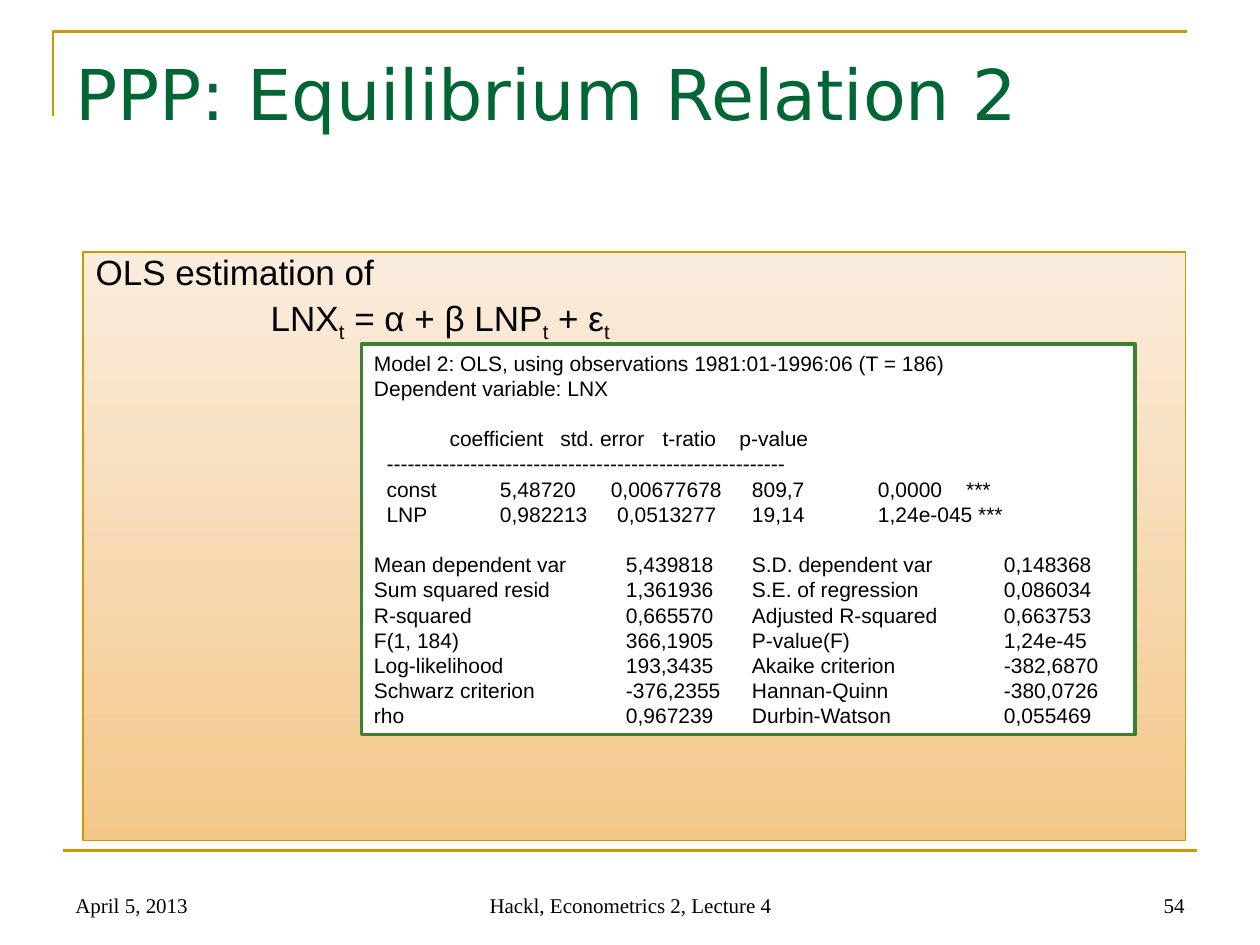
import dataclasses

import pptx
import pptx.dml.color
import pptx.enum.shapes
import pptx.enum.text
import pptx.oxml.ns
import pptx.util
from lxml import etree

Inches = pptx.util.Inches
Pt = pptx.util.Pt
Align = pptx.enum.text.PP_ALIGN
Anchor = pptx.enum.text.MSO_ANCHOR
Shapes = pptx.enum.shapes.MSO_SHAPE
qn = pptx.oxml.ns.qn


def rgb(code):
    return pptx.dml.color.RGBColor.from_string(code)


@dataclasses.dataclass(frozen=True)
class Theme:
    gold: str = "CC9900"
    green: str = "006633"
    frame: str = "3B812F"
    light: str = "FAEDDD"
    dark: str = "F3C78A"
    white: str = "FFFFFF"
    ink: str = "000000"
    head: str = "DejaVu Sans"
    body: str = "Arial"
    foot: str = "Times New Roman"
    big: float = 40
    mid: float = 20
    small: float = 12
    pitch: float = 14.4


class Page:
    def __init__(self, slide, theme):
        self.slide = slide
        self.theme = theme

    def style(self, para, face, size, color):
        for run in para.runs:
            run.font.name = face
            run.font.size = Pt(size)
            run.font.color.rgb = rgb(color)

    def stroke(self, shape, color, width):
        shape.line.color.rgb = rgb(color)
        shape.line.width = Pt(width)

    def corner(self, points):
        """Draw an open outline through the points."""
        (x, y), *rest = [(Inches(x), Inches(y)) for x, y in points]
        pen = self.slide.shapes.build_freeform(x, y)
        pen.add_line_segments(rest, close=False)
        shape = pen.convert_to_shape()
        shape.shadow.inherit = False
        shape.fill.background()
        self.stroke(shape, self.theme.gold, 1.5)

    def rule(self, left, right, top):
        line = self.slide.shapes.add_connector(
            pptx.enum.shapes.MSO_CONNECTOR.STRAIGHT,
            Inches(left), Inches(top), Inches(right), Inches(top))
        self.stroke(line, self.theme.gold, 1.5)
        etree.SubElement(line._element.spPr, qn("a:effectLst"))

    def label(self, area, text, face, size, color,
              align=Align.LEFT, anchor=Anchor.BOTTOM):
        box = self.slide.shapes.add_textbox(*map(Inches, area))
        frame = box.text_frame
        frame.word_wrap = True
        frame.vertical_anchor = anchor
        frame.text = text
        para = frame.paragraphs[0]
        para.alignment = align
        self.style(para, face, size, color)
        return frame

    def panel(self, area, color, width):
        """Add an outlined rectangle with text set from its top."""
        shape = self.slide.shapes.add_shape(
            Shapes.RECTANGLE, *map(Inches, area))
        shape.shadow.inherit = False
        self.stroke(shape, color, width)
        shape.text_frame.word_wrap = True
        shape.text_frame.vertical_anchor = Anchor.TOP
        return shape

    def shade(self, shape, top, bottom):
        shape.fill.gradient()
        shape.fill.gradient_angle = 270
        for stop, color in zip(shape.fill.gradient_stops, (top, bottom)):
            stop.color.rgb = rgb(color)

    def stops(self, para, places):
        """Set left tab stops, in inches."""
        tabs = etree.SubElement(para._p.get_or_add_pPr(), qn("a:tabLst"))
        for place in places:
            etree.SubElement(tabs, qn("a:tab"),
                             pos=str(Inches(place)), algn="l")

    def model(self, frame, intro, parts):
        """Write the intro and an equation of (text, subscript) pairs."""
        theme = self.theme
        frame.text = intro
        first, second = frame.paragraphs[0], frame.add_paragraph()
        for text, sub in parts:
            second.add_run().text = text
            low = second.add_run()
            low.text = sub
            low._r.get_or_add_rPr().set("baseline", "-25000")
        second.space_before = Pt(5)
        second._p.get_or_add_pPr().set("marL", str(Inches(1.39)))
        for para in (first, second):
            para.alignment = Align.LEFT
            para.line_spacing = 0.8
            self.style(para, theme.body, theme.mid, theme.ink)

    def report(self, frame, blocks):
        """Write blocks of (tab stops, text) rows, one line apart."""
        theme = self.theme
        for i, block in enumerate(blocks):
            for j, (places, text) in enumerate(block):
                fresh = i == j == 0
                para = frame.paragraphs[0] if fresh else frame.add_paragraph()
                para.text = text
                para.alignment = Align.LEFT
                para.line_spacing = Pt(theme.pitch)
                if i and not j:
                    para.space_before = Pt(theme.pitch)
                if places:
                    self.stops(para, places)
                self.style(para, theme.body, theme.small, theme.ink)


INTRO = [
    ((), "Model 2: OLS, using observations 1981:01-1996:06 (T = 186)"),
    ((), "Dependent variable: LNX"),
]
COEFS = [
    ((0.6, 1.48, 2.29, 2.9), "\tcoefficient\tstd. error\tt-ratio\tp-value"),
    ((0.1,), "\t" + "-" * 57),
    ((0.1, 1, 1.88, 3, 4, 4.7),
     "\tconst\t5,48720\t0,00677678\t809,7\t0,0000\t***"),
    ((0.1, 1, 1.93, 3, 4),
     "\tLNP\t0,982213\t0,0513277\t19,14\t1,24e-045 ***"),
]
STATS = [
    ("Mean dependent var", "5,439818", "S.D. dependent var", "0,148368"),
    ("Sum squared resid", "1,361936", "S.E. of regression", "0,086034"),
    ("R-squared", "0,665570", "Adjusted R-squared", "0,663753"),
    ("F(1, 184)", "366,1905", "P-value(F)", "1,24e-45"),
    ("Log-likelihood", "193,3435", "Akaike criterion", "-382,6870"),
    ("Schwarz criterion", "-376,2355", "Hannan-Quinn", "-380,0726"),
    ("rho", "0,967239", "Durbin-Watson", "0,055469"),
]
FOOT = [
    (0.5, 2.33, "April 5, 2013", Align.LEFT),
    (3.42, 3.17, "Hackl, Econometrics 2, Lecture 4", Align.CENTER),
    (7.17, 2.33, "54", Align.RIGHT),
]


def main():
    deck = pptx.Presentation()
    deck.slide_width, deck.slide_height = Inches(10), Inches(7.5)
    theme = Theme()
    page = Page(deck.slides.add_slide(deck.slide_layouts[6]), theme)

    page.corner([(0.42, 0.92), (0.42, 0.25), (9.42, 0.25)])
    page.rule(0.5, 9.5, 6.75)
    title = page.label((0.5, 0.3, 9, 1.25), "PPP: Equilibrium Relation 2",
                       theme.head, theme.big, theme.green, anchor=Anchor.TOP)
    title.margin_top = Inches(0.1)

    body = page.panel((0.66, 2, 8.75, 4.67), theme.gold, 0.75)
    page.shade(body, theme.light, theme.dark)
    page.model(body.text_frame, "OLS estimation of",
               [("LNX", "t"), (" = α + β LNP", "t"), (" + ε", "t")])

    for left, width, text, align in FOOT:
        page.label((left, 6.83, width, 0.5), text,
                   theme.foot, theme.small, theme.ink, align)

    table = page.panel((2.87, 2.73, 6.14, 3.1), theme.frame, 2)
    table.fill.solid()
    table.fill.fore_color.rgb = rgb(theme.white)
    stats = [((2, 3, 5), "\t".join(row)) for row in STATS]
    page.report(table.text_frame, [INTRO, COEFS, stats])

    deck.save("out.pptx")


if __name__ == "__main__":
    main()
